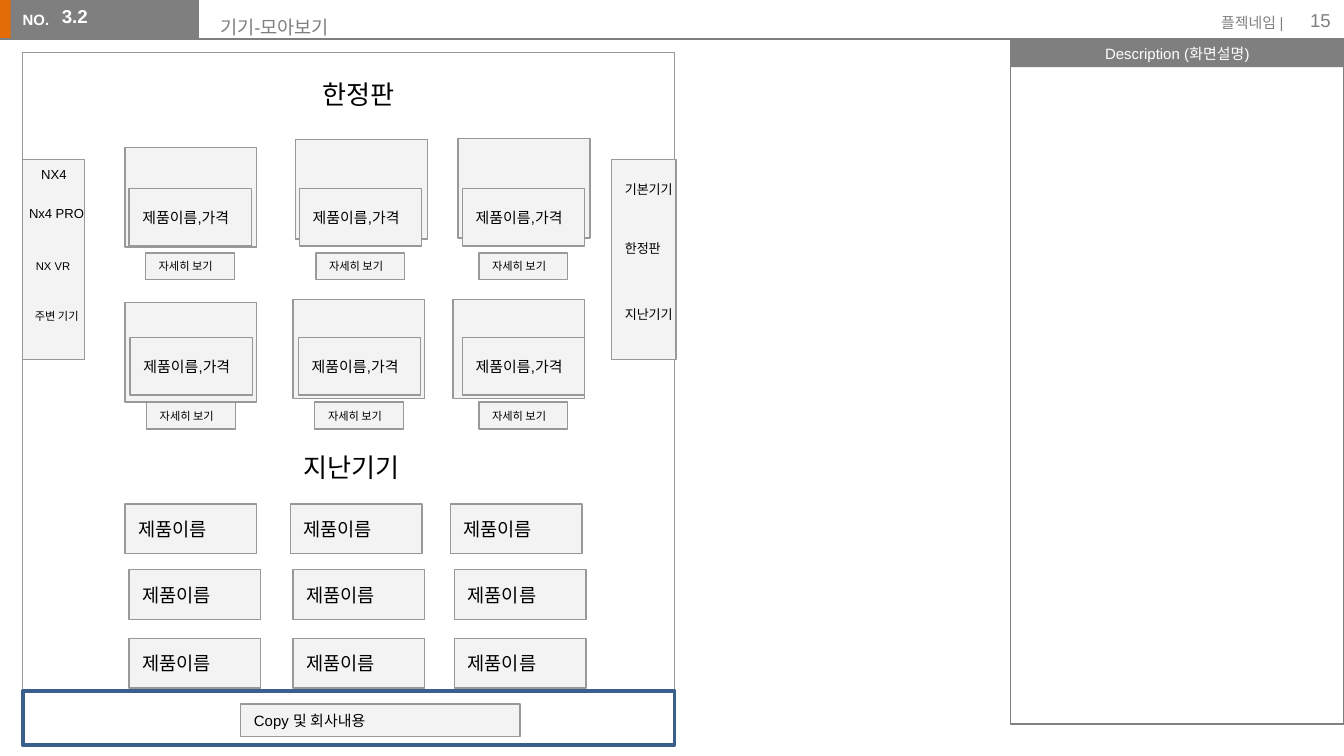
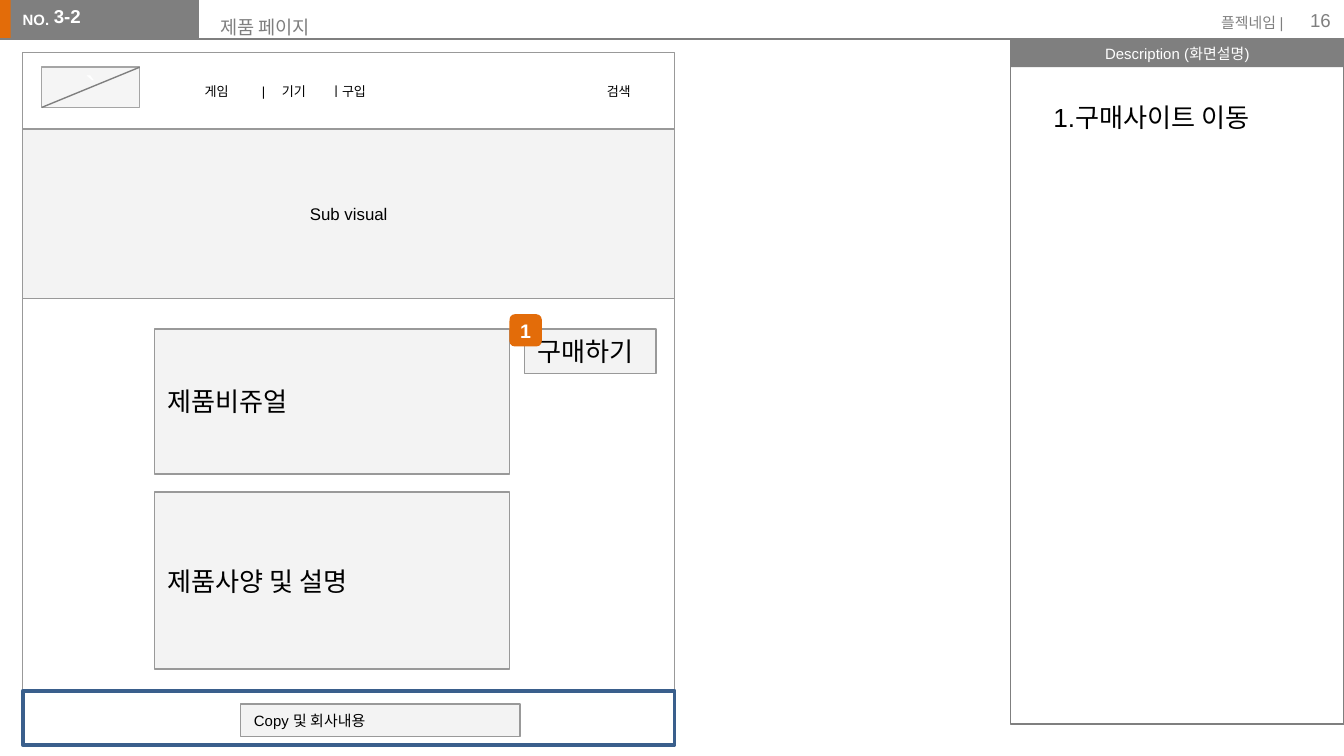
from dataclasses import dataclass

from lxml import etree
from pptx import Presentation
from pptx.dml.color import RGBColor
from pptx.enum.shapes import MSO_CONNECTOR, MSO_SHAPE
from pptx.enum.text import MSO_ANCHOR, MSO_AUTO_SIZE, PP_ALIGN
from pptx.oxml.ns import qn
from pptx.util import Cm, Pt

RECTANGLE = MSO_SHAPE.RECTANGLE
ROUNDED = MSO_SHAPE.ROUNDED_RECTANGLE
STRAIGHT = MSO_CONNECTOR.STRAIGHT
LEFT, CENTER, RIGHT = PP_ALIGN.LEFT, PP_ALIGN.CENTER, PP_ALIGN.RIGHT
TOP, MIDDLE = MSO_ANCHOR.TOP, MSO_ANCHOR.MIDDLE
FIXED, GROW = MSO_AUTO_SIZE.NONE, MSO_AUTO_SIZE.SHAPE_TO_FIT_TEXT
TITLE_ONLY = 5


@dataclass(frozen=True)
class Theme:
    font: str = "Arial"
    orange: str = "E36C09"
    gray: str = "7F7F7F"
    outline: str = "999999"
    logo_outline: str = "A5A5A5"
    box_fill: str = "F3F3F3"
    logo_fill: str = "F2F2F2"
    footer_line: str = "3A5F8C"
    black: str = "000000"
    white: str = "FFFFFF"
    tiny: float = 6
    menu: float = 7
    small: float = 8
    medium: float = 9
    normal: float = 10
    badge: float = 10.5
    heading: float = 14
    mark: float = 18
    thin: float = 0.75
    thick: float = 2


THEME = Theme()
BOX_INSETS = (0.25, 0.25, 0.25, 0.25)
TEXT_INSETS = (0.25, 0.13, 0.25, 0.13)
FRAME_LEFT, FRAME_WIDTH = 0.43, 12.32
CARD_SIZE = (2.49, 1.88)
CAPTION_SIZE = (2.31, 1.09)
BUTTON_SIZE = (1.68, 0.51)
PRODUCT_SIZE = (2.49, 0.94)


def assign(target, values):
    for name, value in values.items():
        setattr(target, name, value)


class Storyboard:
    def __init__(self, theme):
        self.theme = theme
        self.presentation = Presentation()
        assign(self.presentation, {"slide_width": Cm(25.4), "slide_height": Cm(14.29)})
        self.slide = None

    def set_text(self, shape, text, size, color=None, align=LEFT, anchor=TOP,
                 insets=TEXT_INSETS, bold=False, wrap=True, auto_size=FIXED, tabs=()):
        frame = shape.text_frame
        frame.text = text
        sides = ("margin_left", "margin_top", "margin_right", "margin_bottom")
        assign(frame, dict(zip(sides, map(Cm, insets))))
        assign(frame, {"word_wrap": wrap, "auto_size": auto_size, "vertical_anchor": anchor})
        paragraph = frame.paragraphs[0]
        assign(paragraph, {"alignment": align, "space_before": Pt(0)})
        if tabs:
            tab_list = etree.SubElement(paragraph._p.get_or_add_pPr(), qn("a:tabLst"))
            for position in tabs:
                etree.SubElement(tab_list, qn("a:tab"), pos=str(Cm(position)), algn="l")
        font = paragraph.runs[0].font
        assign(font, {"name": self.theme.font, "size": Pt(size), "bold": bold})
        font.color.rgb = RGBColor.from_string(color or self.theme.black)

    def shape(self, left, top, width, height, fill=None, line=None, weight=None,
              kind=RECTANGLE):
        shape = self.slide.shapes.add_shape(kind, Cm(left), Cm(top), Cm(width), Cm(height))
        shape.shadow.inherit = False
        if fill:
            shape.fill.solid()
            shape.fill.fore_color.rgb = RGBColor.from_string(fill)
        else:
            shape.fill.background()
        if line:
            shape.line.color.rgb = RGBColor.from_string(line)
            shape.line.width = Pt(weight or self.theme.thin)
        else:
            shape.line.fill.background()
        return shape

    def box(self, left, top, width, height, text=None, size=None, align=LEFT):
        """Light gray wireframe block, with a label if given."""
        shape = self.shape(left, top, width, height, self.theme.box_fill, self.theme.outline)
        if text:
            self.set_text(shape, text, size, align=align, anchor=MIDDLE, insets=BOX_INSETS)

    def text(self, left, top, width, height, text, size, **style):
        shape = self.slide.shapes.add_textbox(Cm(left), Cm(top), Cm(width), Cm(height))
        self.set_text(shape, text, size, **style)

    def label(self, left, top, width, height, text, size, **style):
        """Text box that grows with its text."""
        self.text(left, top, width, height, text, size, auto_size=GROW, **style)

    def line(self, start, end):
        connector = self.slide.shapes.add_connector(STRAIGHT, *map(Cm, start + end))
        connector.line.color.rgb = RGBColor.from_string(self.theme.gray)
        connector.line.width = Pt(self.theme.thin)
        etree.SubElement(connector._element.spPr, qn("a:effectLst"))

    def page(self, title, code, code_left, number):
        """Start a slide with the header, description panel and page frame."""
        theme = self.theme
        layout = self.presentation.slide_layouts[TITLE_ONLY]
        self.slide = self.presentation.slides.add_slide(layout)
        heading = self.slide.shapes.title
        assign(heading, {"left": Cm(3.91), "top": Cm(0.05),
                         "width": Cm(14.25), "height": Cm(0.81)})
        self.set_text(heading, title, theme.normal, theme.gray, insets=BOX_INSETS)

        self.shape(-0.03, 0, 0.3, 0.74, theme.orange)
        self.shape(0.2, 0, 3.56, 0.74, theme.gray)
        self.text(0.18, 0.08, 1.04, 0.61, "NO.", theme.small, color=theme.white, bold=True)
        self.line((0, 0.74), (19.46, 0.74))
        band = self.shape(19.1, 0.74, 6.3, 0.53, theme.gray)
        self.set_text(band, "Description (화면설명)", theme.small, theme.white, CENTER, MIDDLE,
                      (0.23, 0.1, 0.23, 0.1))
        self.shape(19.1, 0.74, 6.3, 12.95, line=theme.gray)
        self.text(22.68, 0.13, 1.83, 0.61, "플젝네임 |", theme.small,
                  color=theme.gray, align=RIGHT)
        self.text(23.88, 0, 1.52, 0.76, number, theme.normal,
                  color=theme.gray, align=RIGHT, anchor=MIDDLE)
        self.text(code_left, -0.15, 3, 0.79, code, theme.normal, color=theme.white,
                  bold=True, insets=(0.89, 0.25, 0.25, 0.25))
        self.shape(FRAME_LEFT, 0.99, FRAME_WIDTH, 13.08, line=theme.outline)

    def footer(self):
        self.shape(FRAME_LEFT, 13.06, FRAME_WIDTH, 1.02,
                   line=self.theme.footer_line, weight=self.theme.thick)
        self.box(4.55, 13.31, 5.28, 0.61, "Copy 및 회사내용", self.theme.small)

    def card(self, left, top, caption_left, caption_top):
        """Product card with its caption and details button."""
        self.box(left, top, *CARD_SIZE)
        self.box(caption_left, caption_top, *CAPTION_SIZE, "제품이름,가격", self.theme.small)
        self.box(caption_left + 0.31, caption_top + 1.22, *BUTTON_SIZE,
                 "자세히 보기", self.theme.tiny)

    def badge(self, left, top, text):
        shape = self.shape(left, top, 0.61, 0.61, self.theme.orange, kind=ROUNDED)
        self.set_text(shape, text, self.theme.badge, self.theme.white, CENTER, MIDDLE,
                      (0, 0.13, 0, 0.13), bold=True)

    def logo(self, left, top, width, height):
        """Translucent logo placeholder crossed by a diagonal."""
        theme = self.theme
        shape = self.shape(left, top, width, height, theme.logo_fill, theme.logo_outline)
        color = shape._element.spPr.find(qn("a:solidFill")).find(qn("a:srgbClr"))
        etree.SubElement(color, qn("a:alpha"), val="70000")
        self.set_text(shape, "`", theme.mark, theme.white, CENTER, MIDDLE)
        self.line((left + width, top), (left, top + height))


def add_device_overview(board):
    theme = board.theme
    board.page("기기-모아보기", "3.2", 0.28, "15")

    board.box(FRAME_LEFT, 3.02, 1.17, 3.78)
    for left, top, width, text, size in (
        (0.53, 3.02, 1.42, "NX4", theme.menu),
        (0.3, 3.76, 2.08, "Nx4 PRO", theme.menu),
        (0.43, 4.78, 1.7, "NX VR", theme.tiny),
        (0.41, 5.72, 1.7, "주변 기기", theme.tiny),
    ):
        board.label(left, top, width, 0.53, text, size)

    board.box(11.56, 3.02, 1.22, 3.78)
    for top, text in ((3.3, "기본기기"), (4.42, "한정판"), (5.66, "지난기기")):
        board.label(11.56, top, 2.11, 0.56, text, theme.menu)

    board.label(5.05, 1.35, 3.45, 0.86, "한정판", theme.heading, align=CENTER)
    card_rows = (
        (3.56, ((2.36, 2.79, 2.44), (5.59, 2.64, 5.66), (8.66, 2.62, 8.74))),
        (6.38, ((2.36, 5.72, 2.46), (5.54, 5.66, 5.64), (8.56, 5.66, 8.74))),
    )
    for caption_top, cards in card_rows:
        for left, top, caption_left in cards:
            board.card(left, top, caption_left, caption_top)

    board.label(5.49, 8.41, 2.49, 0.86, "지난기기", theme.heading)
    first_row, other_rows = (2.36, 5.49, 8.51), (2.44, 5.54, 8.59)
    for top, lefts in ((9.53, first_row), (10.77, other_rows), (12.07, other_rows)):
        for left in lefts:
            board.box(left, top, *PRODUCT_SIZE, "제품이름", theme.normal)
    board.footer()


def add_product_page(board):
    theme = board.theme
    board.page("제품 페이지", "3-2", 0.13, "16")
    board.box(FRAME_LEFT, 2.44, FRAME_WIDTH, 3.2, "Sub visual", theme.medium, CENTER)
    board.logo(0.79, 1.27, 1.85, 0.76)
    board.text(2.74, 1.45, 5.61, 0.64, "게임\t|\t기기\tㅣ구입", theme.menu,
               insets=(1.13, 0.13, 0.25, 0.13), tabs=(1.08, 1.46, 2.37))
    board.label(9.91, 1.45, 2.26, 0.56, "검색", theme.menu, align=RIGHT)
    board.box(9.91, 6.22, 2.49, 0.84, "구매하기", theme.heading)
    board.box(2.92, 6.22, 6.71, 2.74, "제품비쥬얼", theme.heading)
    board.box(2.92, 9.3, 6.71, 3.35, "제품사양 및 설명", theme.heading)
    board.footer()
    board.badge(9.63, 5.94, "1")
    board.label(19.66, 1.78, 4.55, 0.86, "1.구매사이트 이동", theme.heading, wrap=False)


def main():
    board = Storyboard(THEME)
    add_device_overview(board)
    add_product_page(board)
    board.presentation.save("out.pptx")


if __name__ == "__main__":
    main()
